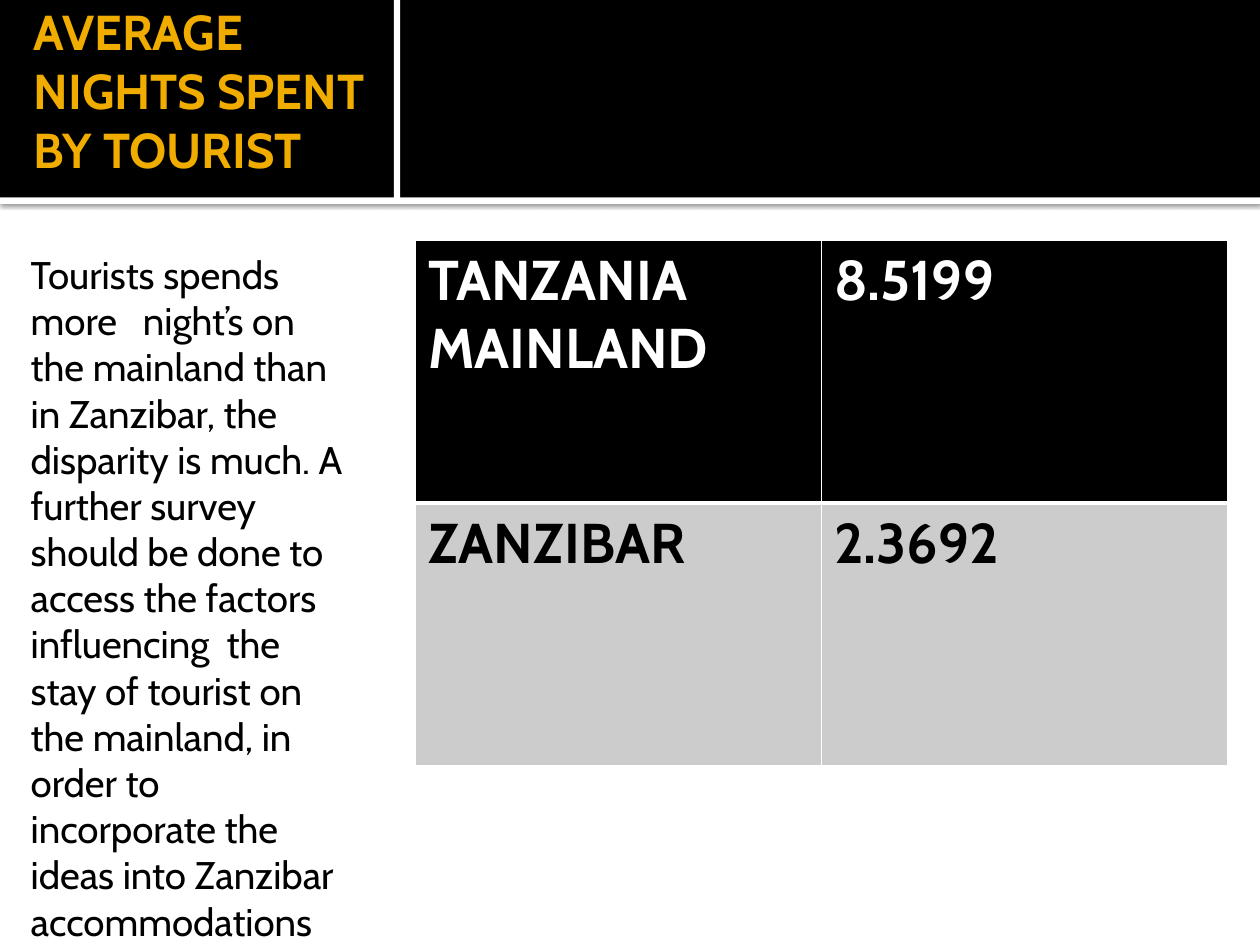
import dataclasses
import pptx
import pptx.dml.color
import pptx.enum.shapes
import pptx.enum.text
import pptx.oxml
import pptx.oxml.ns
import pptx.util

Cm = pptx.util.Cm
Pt = pptx.util.Pt


@dataclasses.dataclass(frozen=True)
class Theme:
    font: str = "Cabin"
    black: str = "000000"
    white: str = "FFFFFF"
    gold: str = "F0AD00"
    gray: str = "CCCCCC"
    title_size: int = 28
    table_size: int = 32
    body_size: int = 22
    thin_border: float = 1
    thick_border: float = 3


@dataclasses.dataclass(frozen=True)
class Band:
    left: float
    top: float
    width: float
    height: float
    color: str
    shadow: bool = False


@dataclasses.dataclass(frozen=True)
class TextBlock:
    left: float
    top: float
    width: float
    height: float
    text: str
    font: dict
    frame: dict


@dataclasses.dataclass(frozen=True)
class TableRow:
    region: str
    nights: str
    fill: str
    color: str
    borders: dict


THEME = Theme()
ANCHOR = pptx.enum.text.MSO_ANCHOR

BANDS = [
    Band(0, 3.98, 25.4, 0.13, THEME.white, shadow=True),
    Band(0, 0, 25.4, 3.98, THEME.black),
    Band(7.94, 0, 0.13, 4.04, THEME.white),
]

TITLE = TextBlock(
    0.48, 0, 7.01, 3.59,
    "AVERAGE NIGHTS SPENT BY TOURIST",
    {"size": Pt(THEME.title_size), "bold": True, "color": THEME.gold},
    {"vertical_anchor": ANCHOR.BOTTOM, "margin_left": Cm(0.2), "margin_top": Cm(0.13),
     "margin_right": Cm(0.13), "margin_bottom": Cm(0)},
)

BODY = TextBlock(
    0.47, 4.81, 6.86, 14.24,
    "Tourists spends more   night’s on the mainland than in Zanzibar, the disparity is much. "
    "A further survey should be done to access the factors influencing  the stay of tourist "
    "on the mainland, in order to incorporate the ideas into Zanzibar accommodations",
    {"size": Pt(THEME.body_size), "bold": False, "color": THEME.black},
    {"vertical_anchor": ANCHOR.TOP, "margin_left": Cm(0.15), "margin_top": Cm(0.25),
     "margin_right": Cm(0.25), "margin_bottom": Cm(0.13)},
)

THIN_SIDES = {side: THEME.thin_border for side in ("L", "R", "T", "B")}
ROWS = [
    TableRow("TANZANIA MAINLAND", "8.5199", THEME.black, THEME.white,
             THIN_SIDES | {"B": THEME.thick_border}),
    TableRow("ZANZIBAR", "2.3692", THEME.gray, THEME.black,
             THIN_SIDES | {"T": THEME.thick_border}),
]


def rgb(color: str) -> pptx.dml.color.RGBColor:
    return pptx.dml.color.RGBColor.from_string(color)


def apply_format(target, values: dict) -> None:
    for name, value in values.items():
        if name == "color":
            target.color.rgb = rgb(value)
        else:
            setattr(target, name, value)


def paint(fill, color: str) -> None:
    fill.solid()
    fill.fore_color.rgb = rgb(color)


def write_text(frame, text: str, font: dict) -> None:
    span = frame.paragraphs[0].add_run()
    span.text = text
    apply_format(span.font, {"name": THEME.font} | font)


def add_band(page, band: Band) -> None:
    box = page.shapes.add_shape(
        pptx.enum.shapes.MSO_SHAPE.RECTANGLE,
        Cm(band.left), Cm(band.top), Cm(band.width), Cm(band.height))
    box.shadow.inherit = False
    paint(box.fill, band.color)
    box.line.fill.background()
    if band.shadow:
        effects = box._element.spPr.find(pptx.oxml.ns.qn("a:effectLst"))
        effects.append(pptx.oxml.parse_xml(
            f'<a:outerShdw {pptx.oxml.ns.nsdecls("a")} blurRad="{Pt(2.5)}" '
            f'dist="{Pt(0.8)}" dir="5400000" rotWithShape="0">'
            f'<a:srgbClr val="{THEME.black}"><a:alpha val="60000"/></a:srgbClr>'
            '</a:outerShdw>'))


def add_text(page, block: TextBlock) -> None:
    box = page.shapes.add_textbox(
        Cm(block.left), Cm(block.top), Cm(block.width), Cm(block.height))
    apply_format(box.text_frame, {"word_wrap": True} | block.frame)
    write_text(box.text_frame, block.text, block.font)


def add_borders(cell, borders: dict) -> None:
    properties = cell._tc.get_or_add_tcPr()
    for side, width in borders.items():
        properties.append(pptx.oxml.parse_xml(
            f'<a:ln{side} {pptx.oxml.ns.nsdecls("a")} w="{Pt(width)}">'
            f'<a:solidFill><a:srgbClr val="{THEME.white}"/></a:solidFill>'
            f'</a:ln{side}>'))


def add_nights_table(page, rows: list[TableRow]) -> None:
    table = page.shapes.add_table(
        len(rows), 2, Cm(8.38), Cm(4.84), Cm(16.36), Cm(10.6)).table
    for row_index, row in enumerate(rows):
        for column_index, text in enumerate((row.region, row.nights)):
            cell = table.cell(row_index, column_index)
            add_borders(cell, row.borders)
            paint(cell.fill, row.fill)
            write_text(cell.text_frame, text, {
                "size": Pt(THEME.table_size), "bold": True, "color": row.color})


def main() -> None:
    deck = pptx.Presentation()
    deck.slide_width, deck.slide_height = Cm(25.4), Cm(19.05)
    page = deck.slides.add_slide(deck.slide_layouts[6])
    paint(page.background.fill, THEME.white)
    for band in BANDS:
        add_band(page, band)
    add_text(page, TITLE)
    add_nights_table(page, ROWS)
    add_text(page, BODY)
    deck.save("out.pptx")


if __name__ == "__main__":
    main()
